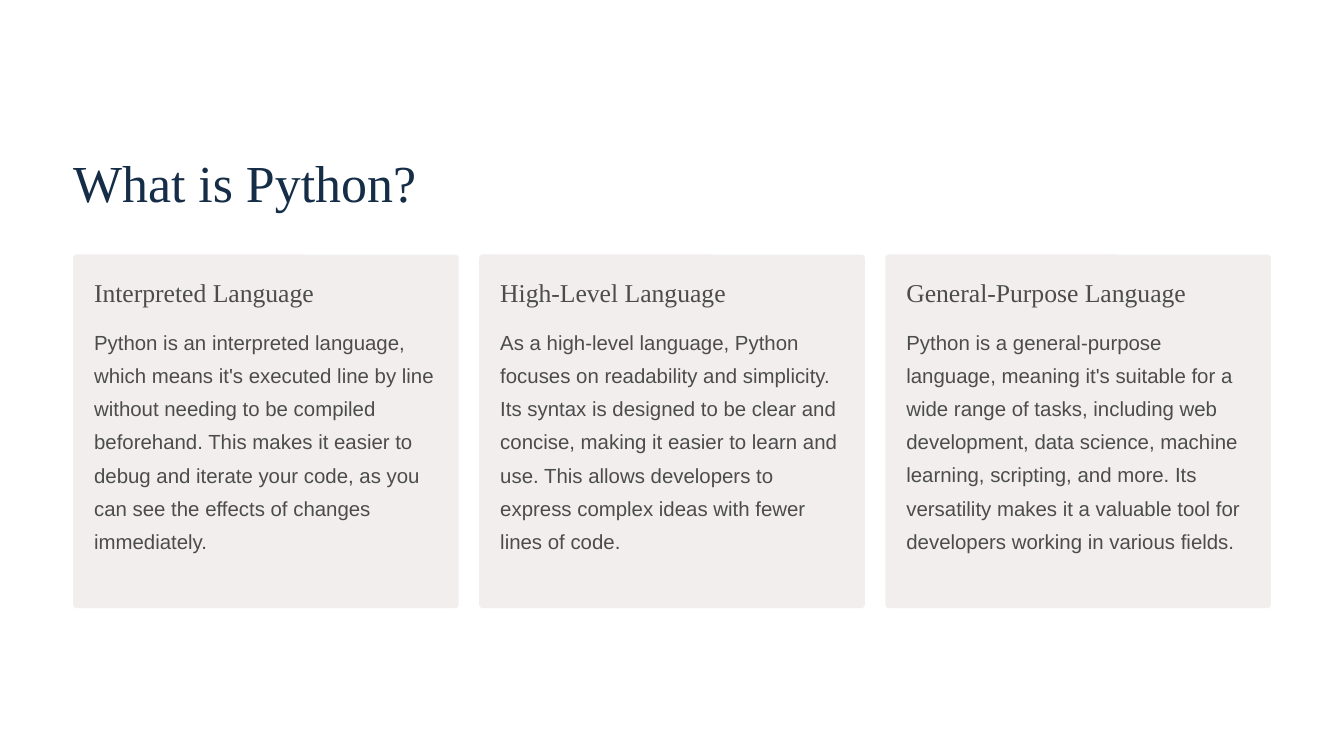
"""Build the "What is Python?" slide with three feature cards."""
import dataclasses

import pptx
import pptx.dml.color
import pptx.enum.shapes
import pptx.enum.text
import pptx.presentation
import pptx.shapes.base
import pptx.slide
import pptx.util
from pptx.util import Inches

COLOURS: dict[str, str] = {"title": "152D47", "text": "4C4C4D", "card": "F2EEEE"}
SERIF = "Times New Roman"
SANS = "Arial"
LEFT = 0.87
CARD_TOP = 3.03
CARD_WIDTH = 4.59
CARD_HEIGHT = 4.21
CARD_STEP = 4.835
PADDING = 0.25


@dataclasses.dataclass(frozen=True)
class TextStyle:
    font: str
    size: float
    line_spacing: float
    colour: str


@dataclasses.dataclass(frozen=True)
class Card:
    heading: str
    description: str
    heading_width: float = 3.1
    description_height: float = 2.78


TITLE_STYLE = TextStyle(SERIF, 44.5, 55.5, "title")
HEADING_STYLE = TextStyle(SERIF, 22, 27.5, "text")
DESCRIPTION_STYLE = TextStyle(SANS, 17.5, 28.5, "text")

CARDS = [
    Card(
        "Interpreted Language",
        "Python is an interpreted language, which means it's executed line by line "
        "without needing to be compiled beforehand. This makes it easier to debug and "
        "iterate your code, as you can see the effects of changes immediately.",
    ),
    Card(
        "High-Level Language",
        "As a high-level language, Python focuses on readability and simplicity. Its "
        "syntax is designed to be clear and concise, making it easier to learn and use. "
        "This allows developers to express complex ideas with fewer lines of code.",
    ),
    Card(
        "General-Purpose Language",
        "Python is a general-purpose language, meaning it's suitable for a wide range of "
        "tasks, including web development, data science, machine learning, scripting, and "
        "more. Its versatility makes it a valuable tool for developers working in various "
        "fields.",
        heading_width=3.47,
        description_height=3.17,
    ),
]


def rgb(name: str) -> pptx.dml.color.RGBColor:
    """Return the named colour."""
    return pptx.dml.color.RGBColor.from_string(COLOURS[name])


def write_text(holder: pptx.shapes.base.BaseShape, wording: str, style: TextStyle) -> None:
    """Fill a text holder with one styled, left-aligned paragraph."""
    frame = holder.text_frame
    frame.word_wrap = True
    frame.auto_size = pptx.enum.text.MSO_AUTO_SIZE.NONE
    frame.vertical_anchor = pptx.enum.text.MSO_ANCHOR.TOP
    frame.margin_left = frame.margin_top = frame.margin_right = frame.margin_bottom = 0
    paragraph = frame.paragraphs[0]
    paragraph.alignment = pptx.enum.text.PP_ALIGN.LEFT
    paragraph.line_spacing = pptx.util.Pt(style.line_spacing)
    run = paragraph.add_run()
    run.text = wording
    run.font.name = style.font
    run.font.size = pptx.util.Pt(style.size)
    run.font.color.rgb = rgb(style.colour)


def add_title(slide: pptx.slide.Slide, wording: str) -> None:
    """Place and fill the title placeholder."""
    title = slide.shapes.title
    title.left, title.top = Inches(LEFT), Inches(1.76)
    title.width, title.height = Inches(6.2), Inches(0.78)
    write_text(title, wording, TITLE_STYLE)


def add_card(slide: pptx.slide.Slide, card: Card, left: float) -> None:
    """Draw a card panel with its heading and description."""
    panel = slide.shapes.add_shape(
        pptx.enum.shapes.MSO_SHAPE.ROUNDED_RECTANGLE,
        Inches(left), Inches(CARD_TOP), Inches(CARD_WIDTH), Inches(CARD_HEIGHT),
    )
    panel.adjustments[0] = 0.01
    panel.shadow.inherit = False
    panel.fill.solid()
    panel.fill.fore_color.rgb = rgb("card")
    panel.line.fill.background()

    text_left = Inches(left + PADDING)
    heading = slide.shapes.add_textbox(
        text_left, Inches(CARD_TOP + PADDING), Inches(card.heading_width), Inches(0.39)
    )
    write_text(heading, card.heading, HEADING_STYLE)
    description = slide.shapes.add_textbox(
        text_left, Inches(3.82),
        Inches(CARD_WIDTH - 2 * PADDING), Inches(card.description_height),
    )
    write_text(description, card.description, DESCRIPTION_STYLE)


def main() -> None:
    """Build and save the presentation."""
    deck: pptx.presentation.Presentation = pptx.Presentation()
    deck.slide_width, deck.slide_height = Inches(16), Inches(9)
    slide = deck.slides.add_slide(deck.slide_layouts.get_by_name("Title Only"))
    add_title(slide, "What is Python?")
    for column, card in enumerate(CARDS):
        add_card(slide, card, LEFT + column * CARD_STEP)
    deck.save("out.pptx")


if __name__ == "__main__":
    main()
